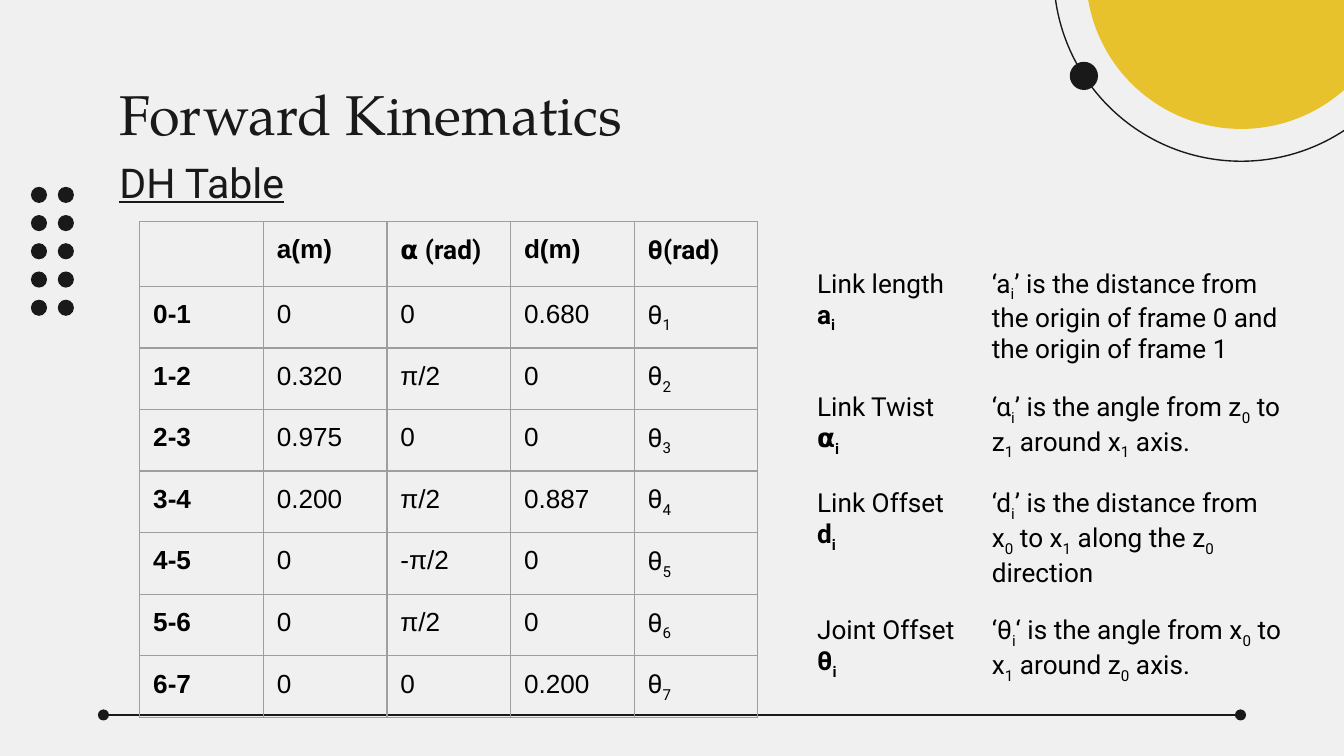
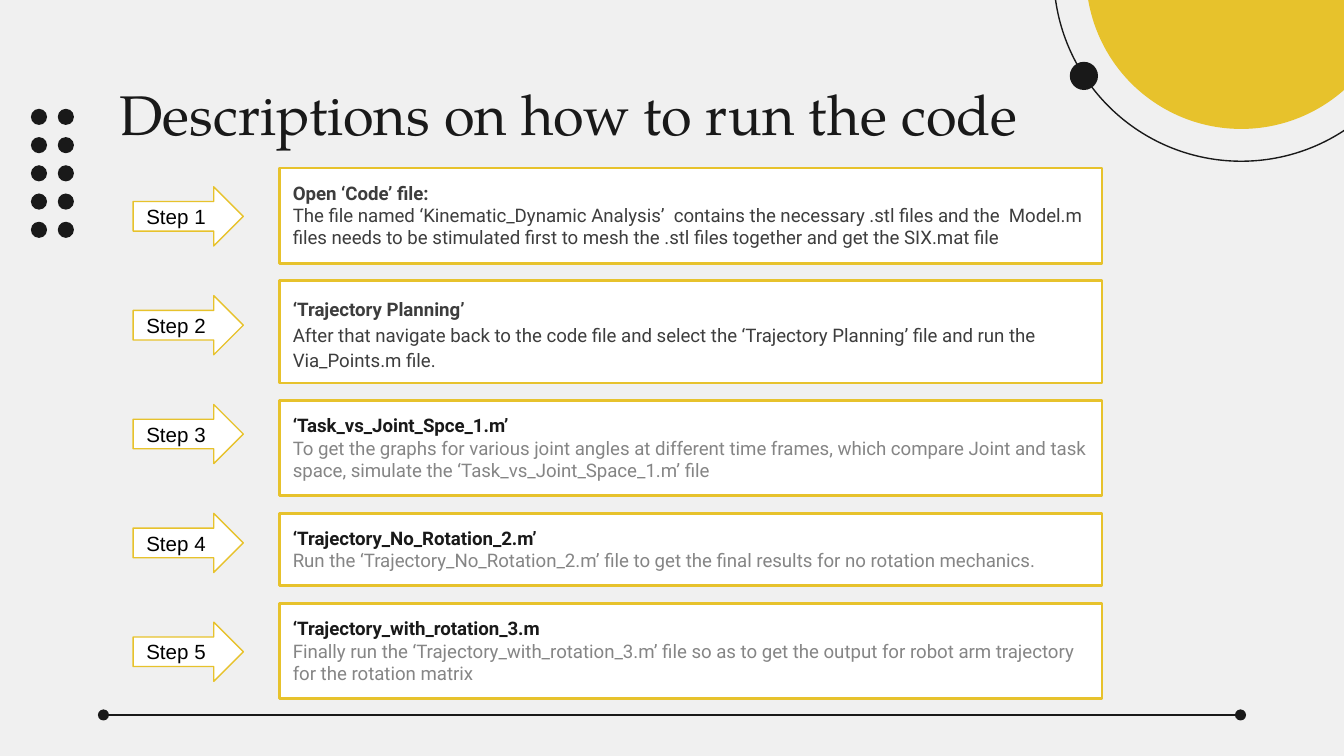
from lxml import etree
from pptx import Presentation, util as u
from pptx.dml.color import RGBColor
from pptx.enum import shapes, text
from pptx.oxml import ns

COLOURS = {
    "paper": "F0F0F0", "ink": "191919", "yellow": "E7C22C", "white": "FFFFFF",
    "black": "000000", "charcoal": "3D3D3D", "grey": "858585", "grid": "9E9E9E",
}
SERIF, SANS, PLAIN = "TeX Gyre Pagella", "Roboto", "Arial"
NO_STYLE = "{2D5ABB26-0587-4C30-8999-92F81FD0307C}"
MARGINS = {side: u.Inches(0.1) for side in
           ("margin_left", "margin_top", "margin_right", "margin_bottom")}
FRAME = {**MARGINS, "word_wrap": True, "auto_size": text.MSO_AUTO_SIZE.NONE,
         "vertical_anchor": text.MSO_ANCHOR.TOP}
OVAL = shapes.MSO_SHAPE.OVAL


def rgb(colour):
    return RGBColor.from_string(COLOURS[colour])


def assign(target, formats):
    for key, value in formats.items():
        setattr(target, key, value)


def style(size, name, **more):
    return {"size": u.Pt(size), "name": name, **more}


def box(*lengths):
    return [u.Inches(length) for length in lengths]


class Deck:
    def __init__(self):
        self.prs = Presentation()
        self.prs.slide_width, self.prs.slide_height = box(10, 5.625)
        self.slide = None

    # Shared look of every slide
    def start(self, heading, dots_top):
        self.slide = self.prs.slides.add_slide(self.prs.slide_layouts[5])
        fill = self.slide.background.fill
        fill.solid()
        fill.fore_color.rgb = rgb("paper")
        title = self.slide.shapes.title
        self.heading(title, 0.49, heading, style(30, SERIF))
        self.footer_line()
        orbit = self.slide.shapes.add_group_shape().shapes
        self.shape(OVAL, (7.84, -1.59, 2.79, 2.79), line="ink", parent=orbit)
        self.shape(OVAL, (7.96, 0.46, 0.21, 0.21), "ink", parent=orbit)
        self.shape(OVAL, (8.08, -1.35, 2.31, 2.31), "yellow")
        dots = self.slide.shapes.add_group_shape().shapes
        for row in range(5):
            for left in (0.23, 0.43):
                self.shape(OVAL, (left, dots_top + 0.21 * row, 0.12, 0.12),
                           "ink", parent=dots)

    def heading(self, holder, top, words, font):
        holder.left, holder.top, holder.width, holder.height = box(0.79, top, 8.43, 0.63)
        assign(holder.text_frame, FRAME)
        paragraph = holder.text_frame.paragraphs[0]
        paragraph.alignment = text.PP_ALIGN.LEFT
        self.run(paragraph, words, font, "ink")

    def subheading(self, words):
        holder = self.slide.shapes.add_textbox(*box(0.79, 1.07, 8.43, 0.63))
        self.heading(holder, 1.07, words, style(22, SANS, underline=True))

    def footer_line(self):
        line = self.slide.shapes.add_connector(
            shapes.MSO_CONNECTOR.STRAIGHT, *box(0.77, 5.32, 9.23, 5.32))
        line.line.color.rgb = rgb("ink")
        line.line.width = u.Pt(0.75)
        for end in ("a:headEnd", "a:tailEnd"):
            etree.SubElement(line.line._get_or_add_ln(), ns.qn(end), type="oval")
        etree.SubElement(line._element.spPr, ns.qn("a:effectLst"))

    def shape(self, kind, place, fill=None, line=None, weight=0.75, parent=None):
        parent = self.slide.shapes if parent is None else parent
        shape = parent.add_shape(kind, *box(*place))
        shape.shadow.inherit = False
        if fill:
            shape.fill.solid()
            shape.fill.fore_color.rgb = rgb(fill)
        else:
            shape.fill.background()
        if line:
            shape.line.color.rgb = rgb(line)
            shape.line.width = u.Pt(weight)
        else:
            shape.line.fill.background()
        assign(shape.text_frame, FRAME)
        shape.text_frame.paragraphs[0].alignment = text.PP_ALIGN.LEFT
        return shape

    def run(self, paragraph, words, font, colour="black"):
        run = paragraph.add_run()
        run.text = words
        assign(run.font, font)
        run.font.color.rgb = rgb(colour)
        return run

    # The character after each "~" is set as a subscript
    def indexed(self, paragraph, words, font):
        first, *rest = words.split("~")
        self.run(paragraph, first, font)
        for part in rest:
            index = self.run(paragraph, part[0], font)
            index._r.get_or_add_rPr().set("baseline", "-25000")
            if part[1:]:
                self.run(paragraph, part[1:], font)

    # Each cell is a list of (words, font) paragraphs
    def table(self, place, widths, heights, rows, border=None):
        table = self.slide.shapes.add_table(
            len(rows), len(widths), *box(*place, sum(widths), sum(heights))).table
        assign(table, {"first_row": False, "horz_banding": False})
        table._tbl.tblPr.find(ns.qn("a:tableStyleId")).text = NO_STYLE
        for column, width in zip(table.columns, widths):
            column.width = u.Inches(width)
        for row, height, contents in zip(table.rows, heights, rows):
            row.height = u.Inches(height)
            for cell, lines in zip(row.cells, contents):
                assign(cell, MARGINS)
                if border:
                    self.borders(cell, border)
                cell.fill.background()
                for number, (words, font) in enumerate(lines):
                    frame = cell.text_frame
                    paragraph = frame.add_paragraph() if number else frame.paragraphs[0]
                    self.indexed(paragraph, words, font)

    def borders(self, cell, colour):
        for side in ("a:lnL", "a:lnR", "a:lnT", "a:lnB"):
            line = etree.SubElement(cell._tc.get_or_add_tcPr(), ns.qn(side),
                                    w=str(u.Pt(0.75)))
            fill = etree.SubElement(line, ns.qn("a:solidFill"))
            etree.SubElement(fill, ns.qn("a:srgbClr"), val=COLOURS[colour])

    def step_arrow(self, number, top):
        arrow = self.shape(shapes.MSO_SHAPE.RIGHT_ARROW, (0.99, top, 0.82, 0.44),
                           "white", "yellow")
        arrow.text_frame.vertical_anchor = text.MSO_ANCHOR.MIDDLE
        self.run(arrow.text_frame.paragraphs[0], f"Step {number}", style(11, PLAIN))

    def step_box(self, top, height, spacing, name, detail, name_colour, detail_colour):
        card = self.shape(shapes.MSO_SHAPE.RECTANGLE, (2.08, top, 6.12, height),
                          "white", "yellow", 1.5)
        card.text_frame.auto_size = text.MSO_AUTO_SIZE.SHAPE_TO_FIT_TEXT
        paragraph = card.text_frame.paragraphs[0]
        assign(paragraph, {"line_spacing": spacing, "space_after": u.Pt(16)})
        self.run(paragraph, name, style(10, SANS, bold=True), name_colour)
        paragraph.add_line_break()
        self.run(paragraph, detail, style(10, SANS, bold=False), detail_colour)


DEFINITIONS = [
    ("Link length", "a~i",
     "‘a~i’ is the distance from the origin of frame 0 and the origin of frame 1"),
    ("Link Twist", "⍺~i", "‘α~i’ is the angle from z~0 to z~1 around x~1 axis."),
    ("Link Offset", "d~i",
     "‘d~i’ is the distance from x~0 to x~1 along the z~0 direction"),
    ("Joint Offset", "θ~i", "‘θ~i‘ is the angle from x~0 to x~1 around z~0 axis."),
]
DH_HEADER = ["", "a(m)", "⍺ (rad)", "d(m)", "θ(rad)"]
DH_LINKS = [
    ("0", "0", "0.680"), ("0.320", "π/2", "0"), ("0.975", "0", "0"),
    ("0.200", "π/2", "0.887"), ("0", "-π/2", "0"), ("0", "π/2", "0"),
    ("0", "0", "0.200"),
]
# Height, line spacing, file, instruction, colours
STEPS = [
    (0.71, 1.0, "Open ‘Code’ file:",
     "The file named ‘Kinematic_Dynamic Analysis’  contains the necessary .stl files "
     "and the  Model.m files needs to be stimulated first to mesh the .stl files "
     "together and get the SIX.mat file", "charcoal", "charcoal"),
    (0.76, 1.15, "‘Trajectory Planning’",
     "After that navigate back to the code file and select the ‘Trajectory Planning’ "
     "file and run the Via_Points.m file.", "charcoal", "charcoal"),
    (0.71, 1.0, "‘Task_vs_Joint_Spce_1.m’",
     "To get the graphs for various joint angles at different time frames, which "
     "compare Joint and task space, simulate the ‘Task_vs_Joint_Space_1.m’ file",
     "ink", "grey"),
    (0.54, 1.0, "‘Trajectory_No_Rotation_2.m’",
     "Run the ‘Trajectory_No_Rotation_2.m’ file to get the final results for no "
     "rotation mechanics.", "ink", "grey"),
    (0.71, 1.0, "‘Trajectory_with_rotation_3.m",
     "Finally run the ‘Trajectory_with_rotation_3.m’ file so as to get the output for "
     "robot arm trajectory for the rotation matrix", "ink", "grey"),
]


def dh_cell(words, bold):
    name = SANS if words[:1] in ("⍺", "θ") else PLAIN
    return [(words, style(14, name, bold=bold))]


def kinematics_slide(deck):
    deck.start("Forward Kinematics", 1.39)
    regular, strong = style(14, SANS, bold=False), style(14, SANS, bold=True)
    deck.table((5.98, 1.9), (1.3, 2.38), (0.91, 0.67, 0.9, 0.67),
               [[[(name, regular), (symbol, strong)], [(meaning, regular)]]
                for name, symbol, meaning in DEFINITIONS])
    rows = [[dh_cell(words, True) for words in DH_HEADER]]
    for link, values in enumerate(DH_LINKS):
        rows.append([dh_cell(f"{link}-{link + 1}", True)]
                    + [dh_cell(words, False) for words in (*values, f"θ~{link + 1}")])
    deck.table((1.04, 1.65), [0.92] * 5, [0.42] * 8, rows, "grid")
    deck.subheading("DH Table")


def steps_slide(deck):
    deck.start("Descriptions on how to run the code", 0.81)
    top, gap = 1.25, 0.13
    for index, (height, *content) in enumerate(STEPS):
        deck.step_box(top, height, *content)
        deck.step_arrow(index + 1, 1.39 + 0.81 * index)
        top += height + gap


def main():
    deck = Deck()
    kinematics_slide(deck)
    steps_slide(deck)
    deck.prs.save("out.pptx")


if __name__ == "__main__":
    main()
